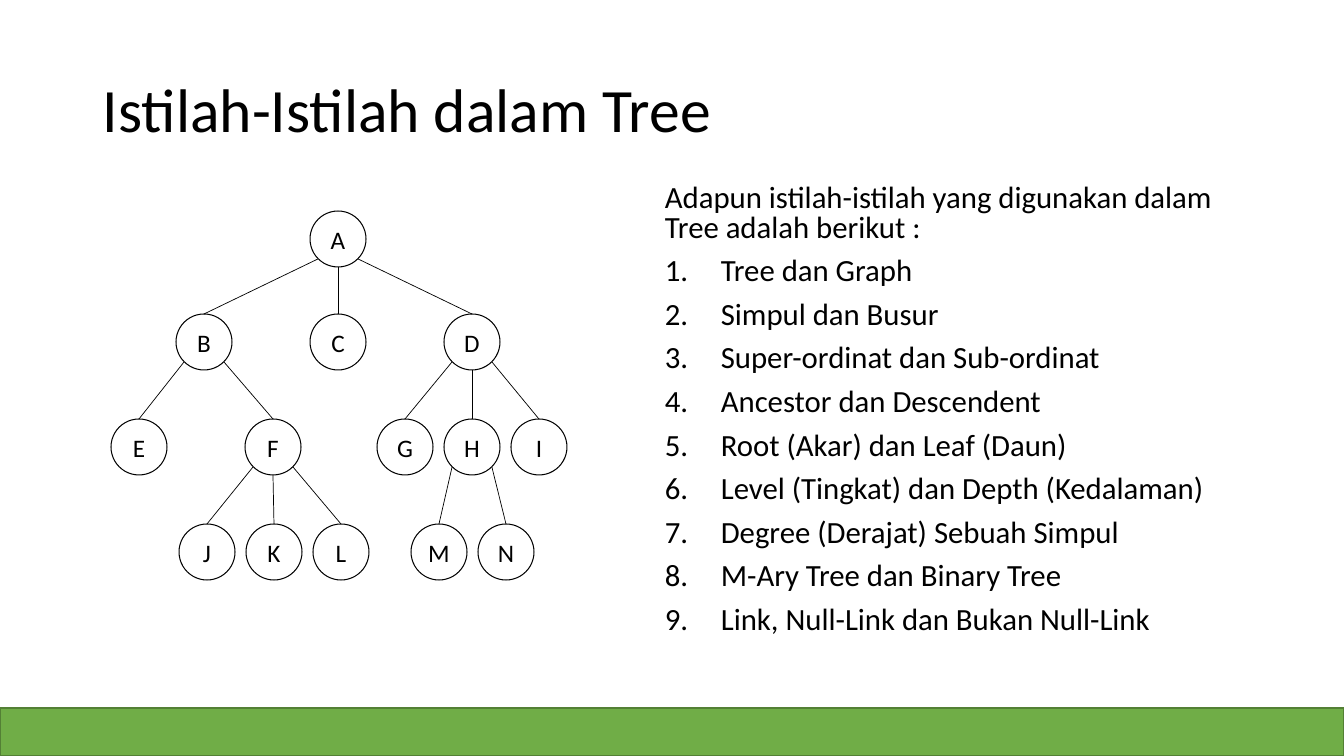
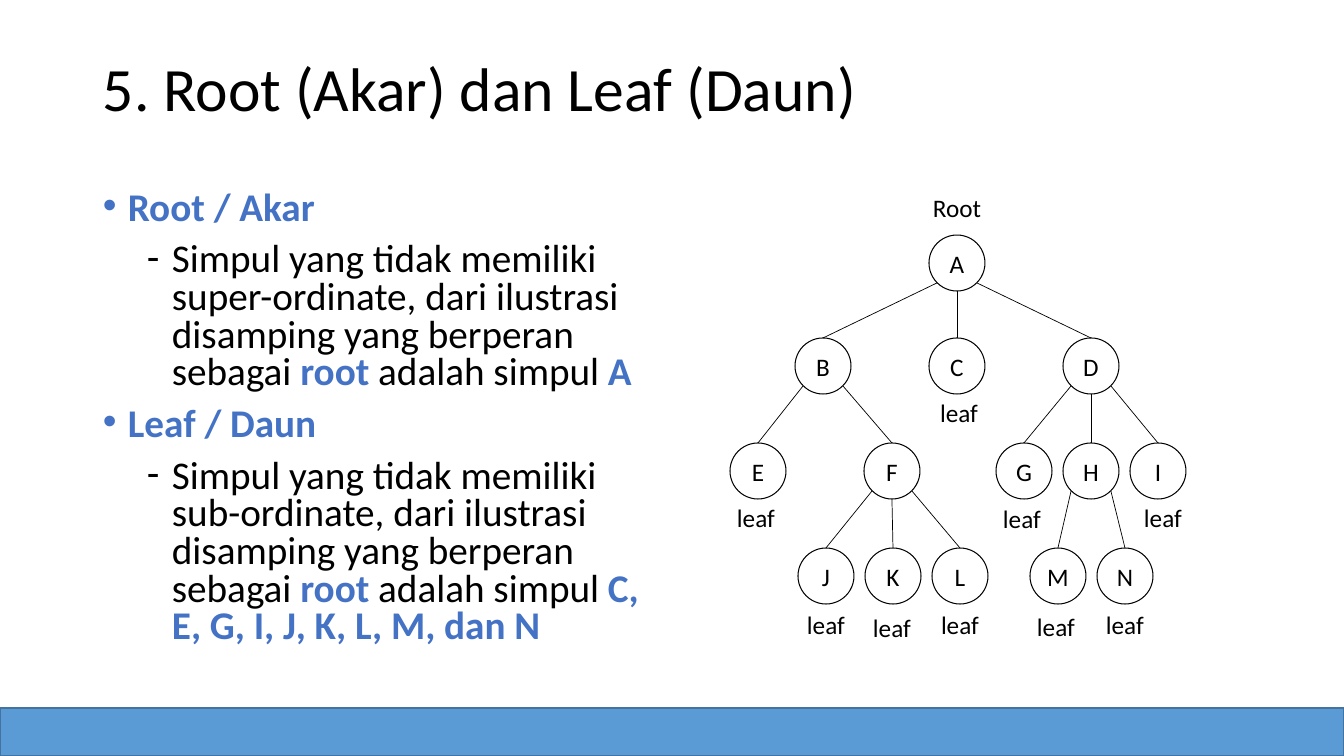
from dataclasses import dataclass

from lxml import etree
from pptx import Presentation, util as u
from pptx.dml.color import RGBColor
from pptx.enum import shapes, text
from pptx.oxml.ns import qn

EMU_PER_PX = 914400 / 100.8


@dataclass(frozen=True)
class Theme:
    font: str = "Calibri"
    ink: str = "000000"
    accent: str = "4472C4"
    green: tuple = ("70AD47", "538035")
    blue: tuple = ("5B9BD5", "43739E")
    title: int = 44
    terms: int = 22
    body: int = 28
    node: int = 18
    outline: float = 0.75
    edge: float = 0.5


T = Theme()
SLIDE_W, SLIDE_H, BAND_H = 1344, 756, 48

# Tree: name -> (parent, level, x offset from parent)
TREE = {
    "A": (None, 0, 227),
    "B": ("A", 1, -134), "C": ("A", 1, 0), "D": ("A", 1, 134),
    "E": ("B", 2, -65), "F": ("B", 2, 69),
    "G": ("D", 2, -67), "H": ("D", 2, 0), "I": ("D", 2, 67),
    "J": ("F", 3, -66), "K": ("F", 3, 1), "L": ("F", 3, 68),
    "M": ("H", 3, -33), "N": ("H", 3, 34),
}
LEVEL_Y = (0, 103, 208, 313)
NODE = 56
# Small shifts of the leaf labels from the point below their node
LEAF_SHIFT = {"C": (2, -2), "E": (-2, -2), "G": (-2, -1), "I": (5, -2),
              "K": (-1, 3), "M": (-2, 2)}

TERMS = (
    "Tree dan Graph", "Simpul dan Busur", "Super-ordinat dan Sub-ordinat",
    "Ancestor dan Descendent", "Root (Akar) dan Leaf (Daun)",
    "Level (Tingkat) dan Depth (Kedalaman)", "Degree (Derajat) Sebuah Simpul",
    "M-Ary Tree dan Binary Tree", "Link, Null-Link dan Bukan Null-Link",
)
# Term, what the node lacks, nodes that qualify
DEFINITIONS = (
    ("Root / Akar", "super-ordinate", "A"),
    ("Leaf / Daun", "sub-ordinate", "C, E, G, I, J, K, L, M, dan N"),
)


def px(*values):
    return [u.Emu(round(v * EMU_PER_PX)) for v in values]


def apply(obj, **fmt):
    for name, value in fmt.items():
        setattr(obj, name, value)


def add_run(p, words, size, color=T.ink, bold=False):
    r = p.add_run()
    r.text = words
    apply(r.font, name=T.font, size=u.Pt(size), bold=bold)
    r.font.color.rgb = RGBColor.from_string(color)


def add_textbox(parent, box, wrap=True, anchor=text.MSO_ANCHOR.TOP):
    tf = parent.shapes.add_textbox(*px(*box)).text_frame
    apply(tf, word_wrap=wrap, vertical_anchor=anchor)
    return tf


def next_paragraph(tf):
    return tf.add_paragraph() if tf.paragraphs[0].runs else tf.paragraphs[0]


def body_paragraph(tf, runs, size, left=0, hang=0, bullet=None):
    """Add a body paragraph; bullet is (tag, attributes)."""
    p = next_paragraph(tf)
    apply(p, line_spacing=0.8, space_before=u.Pt(10))
    for words, hot in runs:
        add_run(p, words, size, T.accent if hot else T.ink, hot)
    if bullet:
        pPr = p._p.get_or_add_pPr()
        for key, value in zip(("marL", "indent"), px(left, -hang)):
            pPr.set(key, str(int(value)))
        etree.SubElement(pPr, qn("a:buFont"), typeface="Arial" if bullet[1].get("char") == "•" else T.font)
        etree.SubElement(pPr, qn(bullet[0]), bullet[1])


def add_title(s, words, box):
    p = add_textbox(s, box, anchor=text.MSO_ANCHOR.MIDDLE).paragraphs[0]
    p.line_spacing = 0.9
    add_run(p, words, T.title)


def add_band(s, colors):
    sp = s.shapes.add_shape(shapes.MSO_SHAPE.RECTANGLE,
                            *px(0, SLIDE_H - BAND_H, SLIDE_W, BAND_H))
    sp.shadow.inherit = False
    sp.fill.solid()
    sp.line.width = u.Pt(1)
    for part, color in zip((sp.fill.fore_color, sp.line.color), colors):
        part.rgb = RGBColor.from_string(color)


def add_node(group, name, cx, top):
    sp = group.shapes.add_shape(shapes.MSO_SHAPE.OVAL, *px(cx - NODE / 2, top, NODE, NODE))
    sp.shadow.inherit = False
    sp.fill.background()
    sp.line.width = u.Pt(T.outline)
    sp.line.color.rgb = RGBColor.from_string(T.ink)
    tf = sp.text_frame
    apply(tf, word_wrap=False, vertical_anchor=text.MSO_ANCHOR.MIDDLE)
    tf.paragraphs[0].alignment = text.PP_ALIGN.CENTER
    add_run(tf.paragraphs[0], name, T.node)
    return sp


def add_edge(group, start, child, end):
    c = group.shapes.add_connector(shapes.MSO_CONNECTOR.STRAIGHT, *px(*start, *end))
    c.end_connect(child, 0)
    c.line.width = u.Pt(T.edge)
    c.line.color.rgb = RGBColor.from_string(T.ink)
    etree.SubElement(c._element.spPr, qn("a:effectLst"))


def add_label(group, words, cx, top, width):
    p = add_textbox(group, (cx - width / 2, top, width, 40), wrap=False).paragraphs[0]
    p.alignment = text.PP_ALIGN.CENTER
    add_run(p, words, T.node)


def add_tree(s, left, top, labelled=False):
    group = s.shapes.add_group_shape()
    # Nodes
    at, nodes = {}, {}
    for name, (parent, level, dx) in TREE.items():
        at[name] = (at[parent][0] if parent else left) + dx, top + LEVEL_Y[level]
        nodes[name] = add_node(group, name, *at[name])
    # Edges leave the parent at its lower left, bottom or lower right
    diagonal = NODE / 2 * 0.71
    for name, (parent, _, dx) in TREE.items():
        if parent:
            x, y = at[parent]
            side = 0 if abs(dx) < 2 else (1 if dx > 0 else -1)
            drop = diagonal if side else NODE / 2
            add_edge(group, (x + side * diagonal, y + NODE / 2 + drop), nodes[name], at[name])
    # Labels of the root and of each node without children
    if labelled:
        add_label(group, "Root", at["A"][0], at["A"][1] - 48, 69)
        parents = {parent for parent, _, _ in TREE.values()}
        for name in TREE:
            if name not in parents:
                (x, y), (dx, dy) = at[name], LEAF_SHIFT.get(name, (0, 0))
                add_label(group, "leaf", x + dx, y + NODE + dy, 58)


def add_terms(s, box):
    tf = add_textbox(s, box)
    intro = "Adapun istilah-istilah yang digunakan dalam Tree adalah berikut :"
    body_paragraph(tf, [(intro, False)], T.terms)
    for term in TERMS:
        body_paragraph(tf, [(term, False)], T.terms, 56, 56,
                       ("a:buAutoNum", {"type": "arabicPeriod"}))


def add_definitions(s, box):
    tf = add_textbox(s, box)
    for term, lacking, members in DEFINITIONS:
        body_paragraph(tf, [(term, True)], T.body, 25, 25, ("a:buChar", {"char": "•"}))
        runs = [(f"Simpul yang tidak memiliki {lacking}, dari ilustrasi disamping "
                 "yang berperan sebagai ", False),
                ("root ", True), ("adalah simpul ", False), (members, True)]
        body_paragraph(tf, runs, T.body, 69, 25, ("a:buChar", {"char": "‐"}))


def terms_slide(s):
    add_title(s, "Istilah-Istilah dalam Tree", (93, 40, 1159, 146))
    add_terms(s, (655, 180, 596, 480))
    add_band(s, T.green)
    add_tree(s, 111, 211)


def root_leaf_slide(s):
    add_title(s, "5. Root (Akar) dan Leaf (Daun)", (93, 19, 1159, 146))
    add_definitions(s, (93, 186, 565, 480))
    add_band(s, T.blue)
    add_tree(s, 730, 235, labelled=True)


def main():
    prs = Presentation()
    prs.slide_width, prs.slide_height = px(SLIDE_W, SLIDE_H)
    for build in (terms_slide, root_leaf_slide):
        build(prs.slides.add_slide(prs.slide_layouts[6]))
    prs.save("out.pptx")


if __name__ == "__main__":
    main()
